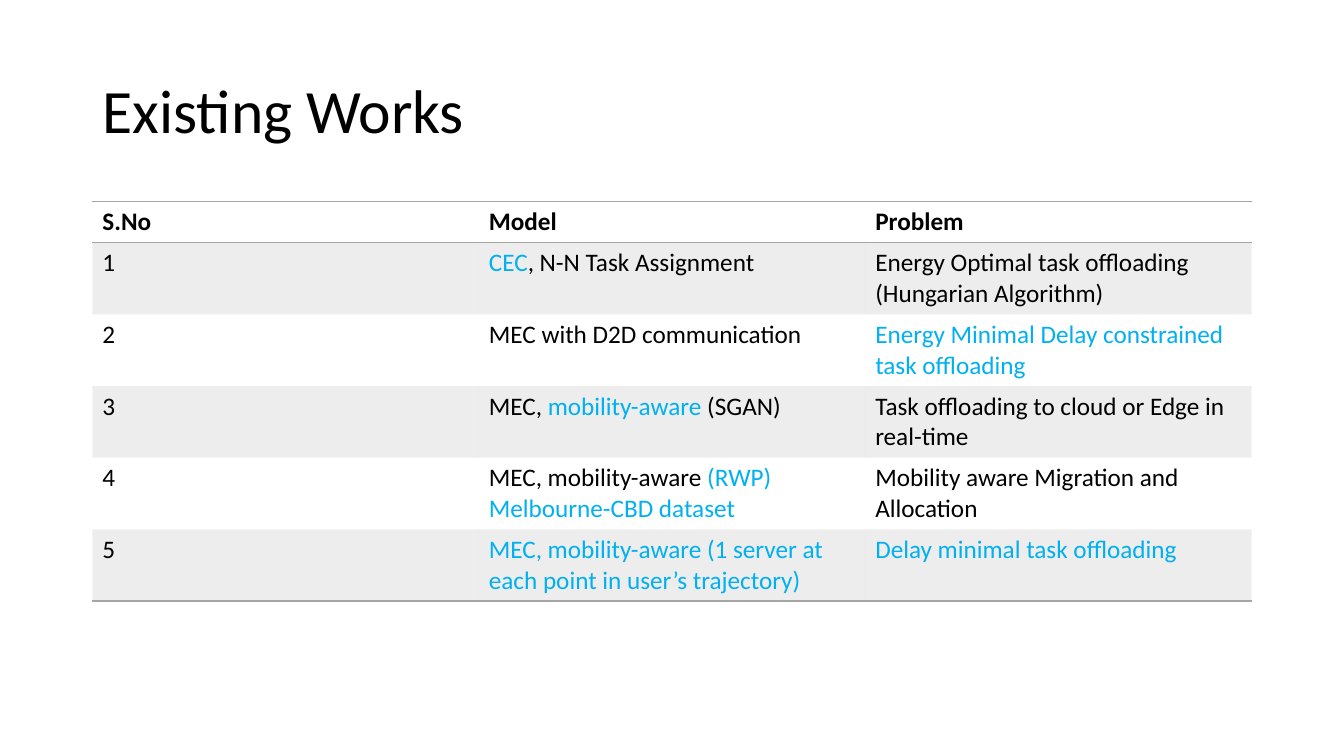
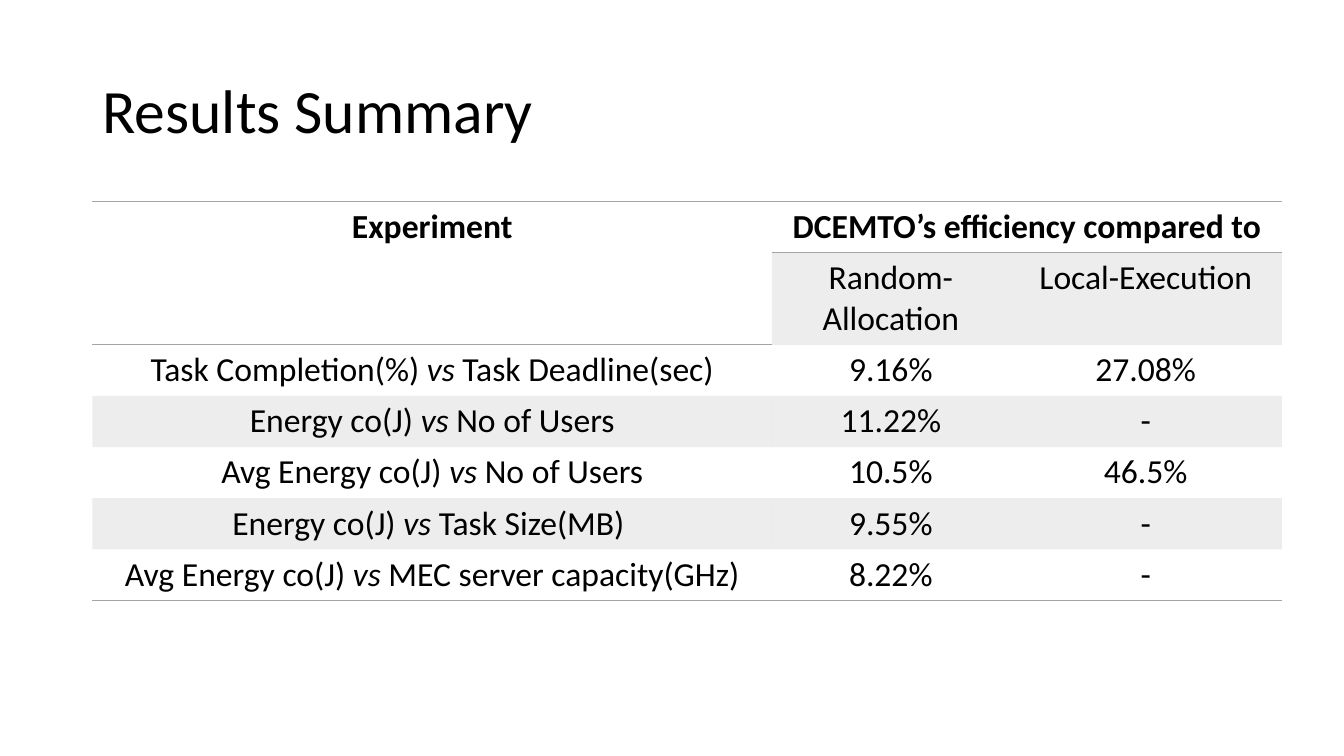
from dataclasses import dataclass
from lxml.etree import SubElement
from pptx import Presentation
from pptx.dml.color import RGBColor as Rgb
from pptx.enum.text import MSO_ANCHOR as Anchor, MSO_AUTO_SIZE as AutoSize, PP_ALIGN as Align
from pptx.oxml.ns import qn
from pptx.util import Inches, Pt


@dataclass(frozen=True)
class Theme:
    font: str = "Calibri"
    ink: str = "000000"
    accent: str = "00B0F0"
    rule: str = "A5A5A5"
    band_opacity: int = 20
    rule_width: int = 1
    title_size: int = 44
    works_size: int = 18
    results_size: int = 24


THEME = Theme()
GRID_COLUMNS, GRID_ROWS = 160, 90
SLIDE_WIDTH, SLIDE_HEIGHT = Inches(13.33), Inches(7.5)
MARGIN, CONTENT_WIDTH = 11, 138
TITLE_TOP, TITLE_HEIGHT, TABLE_TOP = 4.8, 17.4, 24
PLAIN_TABLE_STYLE = "{2D5ABB26-0587-4C30-8999-92F81FD0307C}"

WORKS = [
    ("S.No", "Model", "Problem"),
    ("1", "~CEC~, N-N Task Assignment",
     "Energy Optimal task offloading (Hungarian Algorithm)"),
    ("2", "MEC with D2D communication",
     "~Energy Minimal Delay constrained task offloading~"),
    ("3", "MEC, ~mobility-aware ~(SGAN)",
     "Task offloading to cloud or Edge in real-time"),
    ("4", "MEC, mobility-aware ~(RWP)~\n~Melbourne-CBD dataset~",
     "Mobility aware Migration and Allocation"),
    ("5", "~MEC, mobility-aware (1 server at each point in user’s trajectory)~",
     "~Delay minimal task offloading~"),
]
RESULTS = [
    ("Experiment", "DCEMTO’s efficiency compared to", ""),
    ("", "Random-Allocation", "Local-Execution"),
    ("Task Completion(%) ~vs ~Task Deadline(sec)", "9.16%", "27.08%"),
    ("Energy co(J) ~vs~ No of Users", "11.22%", "-"),
    ("Avg Energy co(J) ~vs ~No of Users", "10.5%", "46.5%"),
    ("Energy co(J) ~vs~ Task Size(MB) ", "9.55%", "-"),
    ("Avg Energy co(J) ~vs~ MEC server capacity(GHz)", "8.22%", "-"),
]


def across(columns):
    return round(SLIDE_WIDTH * columns / GRID_COLUMNS)


def down(rows):
    return round(SLIDE_HEIGHT * rows / GRID_ROWS)


def style_font(font, size, bold=False):
    font.name = THEME.font
    font.size = Pt(size)
    font.bold = bold
    font.color.rgb = Rgb.from_string(THEME.ink)


def highlight(font):
    font.color.rgb = Rgb.from_string(THEME.accent)


def italicize(font):
    font.italic = True


def add_titled_slide(deck, heading):
    slide = deck.slides.add_slide(deck.slide_layouts[5])
    title = slide.shapes.title
    title.left, title.top = across(MARGIN), down(TITLE_TOP)
    title.width, title.height = across(CONTENT_WIDTH), down(TITLE_HEIGHT)
    frame = title.text_frame
    frame.text = heading
    frame.auto_size = AutoSize.NONE
    frame.vertical_anchor = Anchor.MIDDLE
    line = frame.paragraphs[0]
    line.alignment = Align.LEFT
    line.line_spacing = 0.9
    style_font(line.font, THEME.title_size)
    return slide


def write_cell(cell, marked_text, size, bold, align, emphasize):
    frame = cell.text_frame
    for index, marked_line in enumerate(marked_text.split("\n")):
        line = frame.add_paragraph() if index else frame.paragraphs[0]
        line.alignment = align
        style_font(line.font, size, bold)
        for position, words in enumerate(marked_line.split("~")):
            if words:
                run = line.add_run()
                run.text = words
                if position % 2:
                    emphasize(run.font)


def draw_rule(cell, edge):
    border = SubElement(cell._tc.get_or_add_tcPr(), qn(f"a:{edge}"),
                        w=str(Pt(THEME.rule_width)))
    fill = SubElement(border, qn("a:solidFill"))
    SubElement(fill, qn("a:srgbClr"), val=THEME.rule)


def paint_cell(cell, banded):
    if not banded:
        cell.fill.background()
        return
    cell.fill.solid()
    cell.fill.fore_color.rgb = Rgb.from_string(THEME.rule)
    colour = cell._tc.tcPr.find(f"{qn('a:solidFill')}/{qn('a:srgbClr')}")
    SubElement(colour, qn("a:alpha"), val=str(THEME.band_opacity * 1000))


def add_ruled_table(slide, records, widths, heights, size, align, emphasize):
    table = slide.shapes.add_table(
        len(records), len(widths), across(MARGIN), down(TABLE_TOP),
        across(sum(widths)), down(sum(heights))).table
    table.first_row = table.horz_banding = False
    table._tbl.tblPr.find(qn("a:tableStyleId")).text = PLAIN_TABLE_STYLE
    for column, width in zip(table.columns, widths):
        column.width = across(width)
    for row, height in zip(table.rows, heights):
        row.height = down(height)
    for r, record in enumerate(records):
        for c, marked_text in enumerate(record):
            cell = table.cell(r, c)
            write_cell(cell, marked_text, size, r == 0, align, emphasize)
            if r == 0:
                draw_rule(cell, "lnT")
            if r in (0, len(records) - 1):
                draw_rule(cell, "lnB")
            paint_cell(cell, r % 2 == 1)
    return table


def add_existing_works(deck):
    slide = add_titled_slide(deck, "Existing Works")
    add_ruled_table(slide, WORKS, [CONTENT_WIDTH / 3] * 3, [4.9] + [8.4] * 5,
                    THEME.works_size, Align.LEFT, highlight)


def add_results_summary(deck):
    slide = add_titled_slide(deck, "Results Summary")
    table = add_ruled_table(slide, RESULTS, [80.9, 28.3, 32.4], [6, 10.8] + [6] * 5,
                            THEME.results_size, Align.CENTER, italicize)
    table.cell(0, 0).merge(table.cell(1, 0))
    table.cell(0, 1).merge(table.cell(0, 2))


def main():
    deck = Presentation()
    deck.slide_width, deck.slide_height = SLIDE_WIDTH, SLIDE_HEIGHT
    add_existing_works(deck)
    add_results_summary(deck)
    deck.save("out.pptx")


if __name__ == "__main__":
    main()
